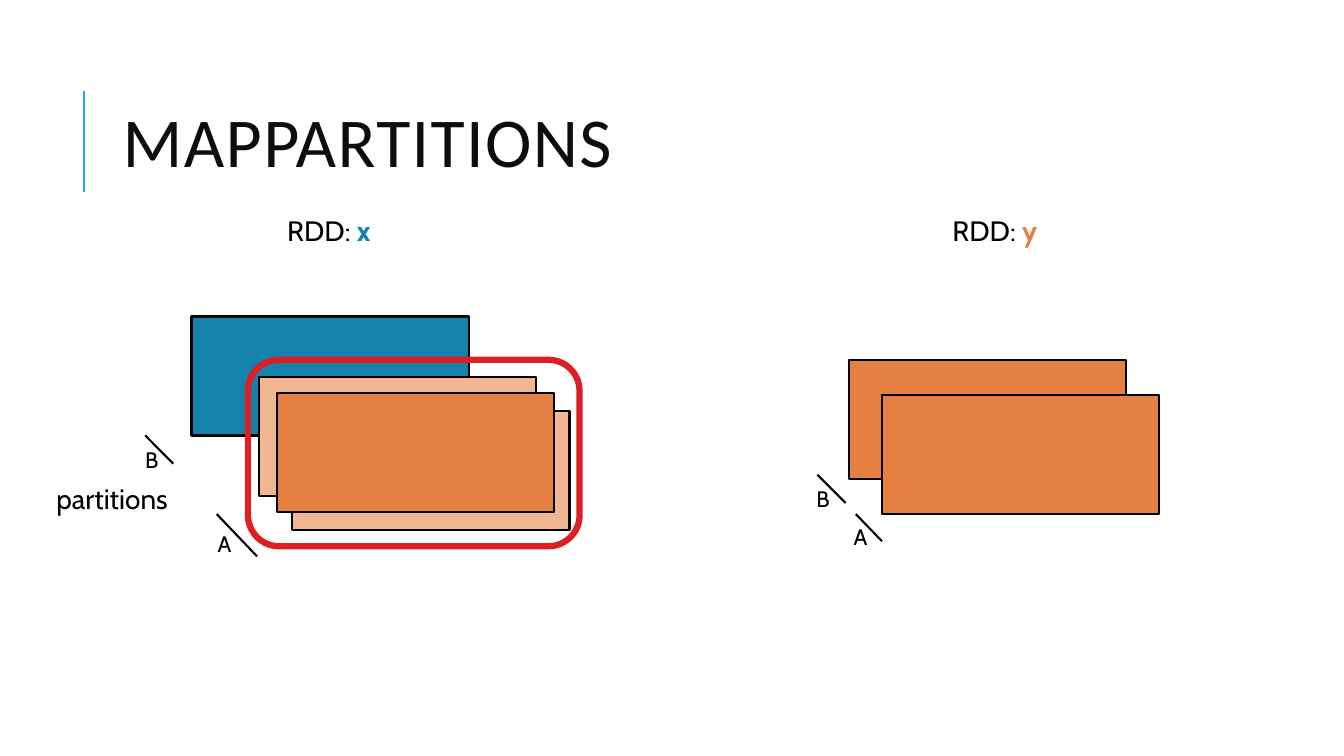
import pptx
import pptx.dml.color
import pptx.enum.shapes
import pptx.enum.text
import pptx.util
from lxml import etree
from pptx.oxml.ns import qn

Pt = pptx.util.Pt
SHAPES = pptx.enum.shapes.MSO_SHAPE

BLACK, BLUE, ORANGE, PALE_ORANGE = "000000", "1482AC", "E68042", "F1B793"
RED, ACCENT, TITLE_INK = "DB1F25", "1CADE4", "0D0D0D"
PARTITION_SIZE = (198, 85)


def color(hex_code):
    return pptx.dml.color.RGBColor.from_string(hex_code)


class SlideWriter:
    """Draws on one slide; all lengths are in points."""

    font = "Cabin"
    line_width = 1.5

    def __init__(self, slide):
        self.slide = slide

    def outline(self, line, ink, width):
        line.color.rgb = color(ink)
        line.width = Pt(width)

    def box(self, left, top, size, fill=None, ink=BLACK, width=line_width,
            kind=SHAPES.RECTANGLE):
        shape = self.slide.shapes.add_shape(kind, Pt(left), Pt(top), *map(Pt, size))
        shape.shadow.inherit = False
        if fill:
            shape.fill.solid()
            shape.fill.fore_color.rgb = color(fill)
        else:
            shape.fill.background()
        self.outline(shape.line, ink, width)

    def partition(self, left, top, fill):
        self.box(left, top, PARTITION_SIZE, fill)

    def line(self, x1, y1, x2, y2, ink=BLACK):
        connector = self.slide.shapes.add_connector(
            pptx.enum.shapes.MSO_CONNECTOR.STRAIGHT, Pt(x1), Pt(y1), Pt(x2), Pt(y2))
        self.outline(connector.line, ink, self.line_width)
        etree.SubElement(connector._element.spPr, qn("a:effectLst"))

    def text(self, left, top, width, height, runs, size, font=font):
        """Add one paragraph; runs are (text, colour, bold). Return the text frame."""
        box = self.slide.shapes.add_textbox(Pt(left), Pt(top), Pt(width), Pt(height))
        frame = box.text_frame
        frame.word_wrap = True
        for words, ink, bold in runs:
            run = frame.paragraphs[0].add_run()
            run.text = words
            run.font.name = font
            run.font.size = Pt(size)
            run.font.bold = bold
            run.font.color.rgb = color(ink)
        return frame

    def title(self, words):
        frame = self.text(80.6, 46.1, 765.4, 118.1, [(words, TITLE_INK, False)],
                          50, "Calibri")
        frame.vertical_anchor = pptx.enum.text.MSO_ANCHOR.MIDDLE
        heading = frame.paragraphs[0]
        heading.line_spacing = 0.8
        heading.runs[0]._r.get_or_add_rPr().set("spc", "100")

    def rdd_heading(self, left, name, ink):
        self.text(left, 149, 111.6, 31.7,
                  [("RDD: ", BLACK, False), (name, ink, True)], 20)

    def partition_label(self, left, top, letter):
        self.text(left, top, 15, 26.6, [(letter, BLACK, False)], 16)


def main():
    deck = pptx.Presentation()
    deck.slide_width, deck.slide_height = Pt(960), Pt(540)
    writer = SlideWriter(deck.slides.add_slide(deck.slide_layouts[6]))

    writer.line(60, 136.8, 60, 64.8, ACCENT)
    writer.title("MAPPARTITIONS")
    writer.rdd_heading(198, "x", BLUE)
    writer.rdd_heading(673.2, "y", ORANGE)

    writer.partition(136.8, 226.1, BLUE)
    writer.box(177.1, 257, (236.9, 133.2), ink=RED, width=4.5,
               kind=SHAPES.ROUNDED_RECTANGLE)
    for left, top, fill in [
        (208.8, 293.8, PALE_ORANGE),
        (185, 269.3, PALE_ORANGE),
        (198, 280.8, ORANGE),
        (606.2, 257, ORANGE),
        (630, 282.2, ORANGE),
    ]:
        writer.partition(left, top, fill)

    writer.text(33.1, 340.6, 116.6, 31.7, [("partitions", BLACK, False)], 20)
    for letter, label_at, tick in [
        ("A", (148.3, 375.1), (154.8, 367.2, 183.6, 397.4)),
        ("B", (96.5, 315.4), (103.7, 311, 123.8, 331.2)),
        ("A", (602.6, 370.1), (611.3, 367.2, 630, 386.6)),
        ("B", (576, 342.7), (583.9, 339.1, 604.1, 359.3)),
    ]:
        writer.line(*tick)
        writer.partition_label(*label_at, letter)

    deck.save("out.pptx")


if __name__ == "__main__":
    main()
